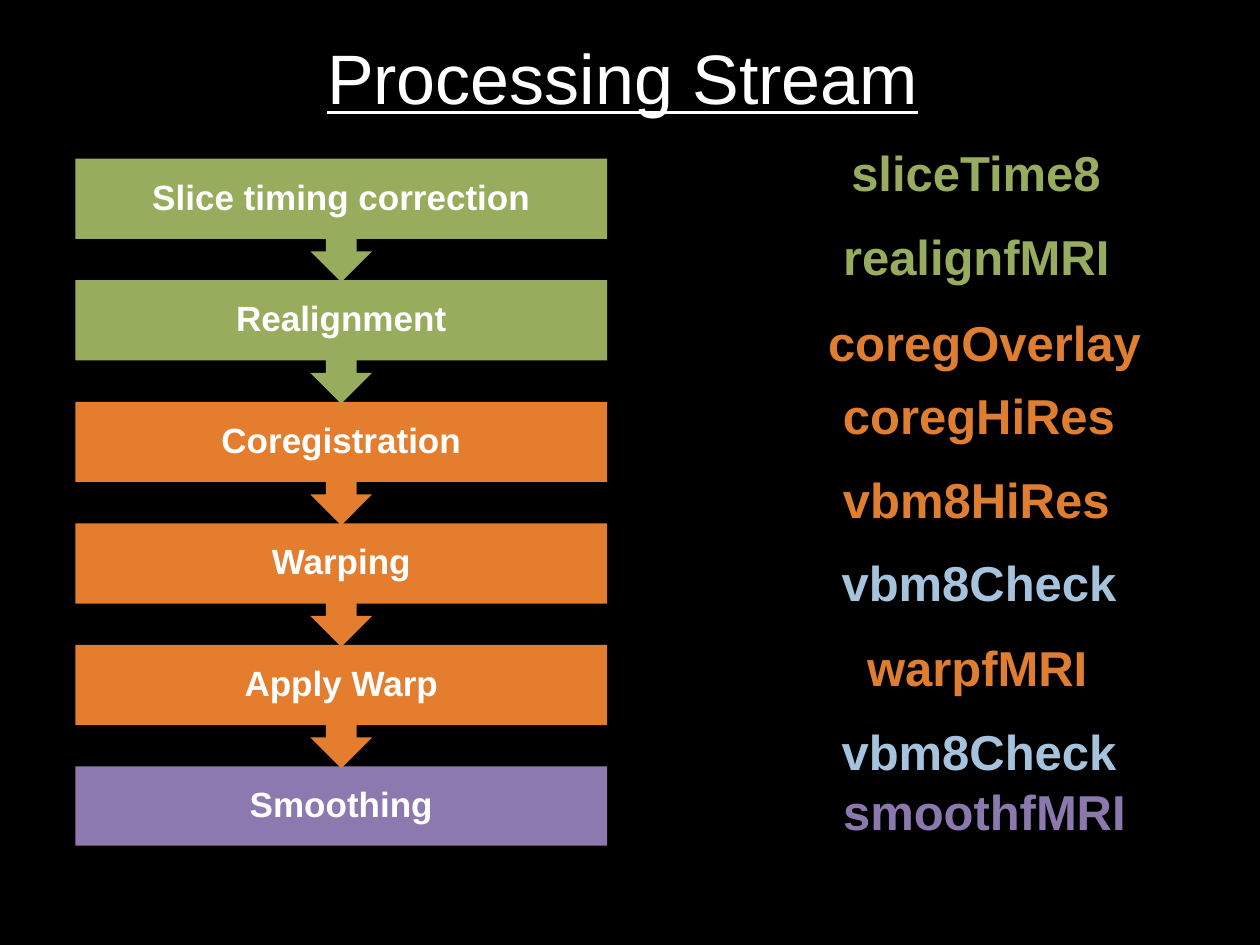
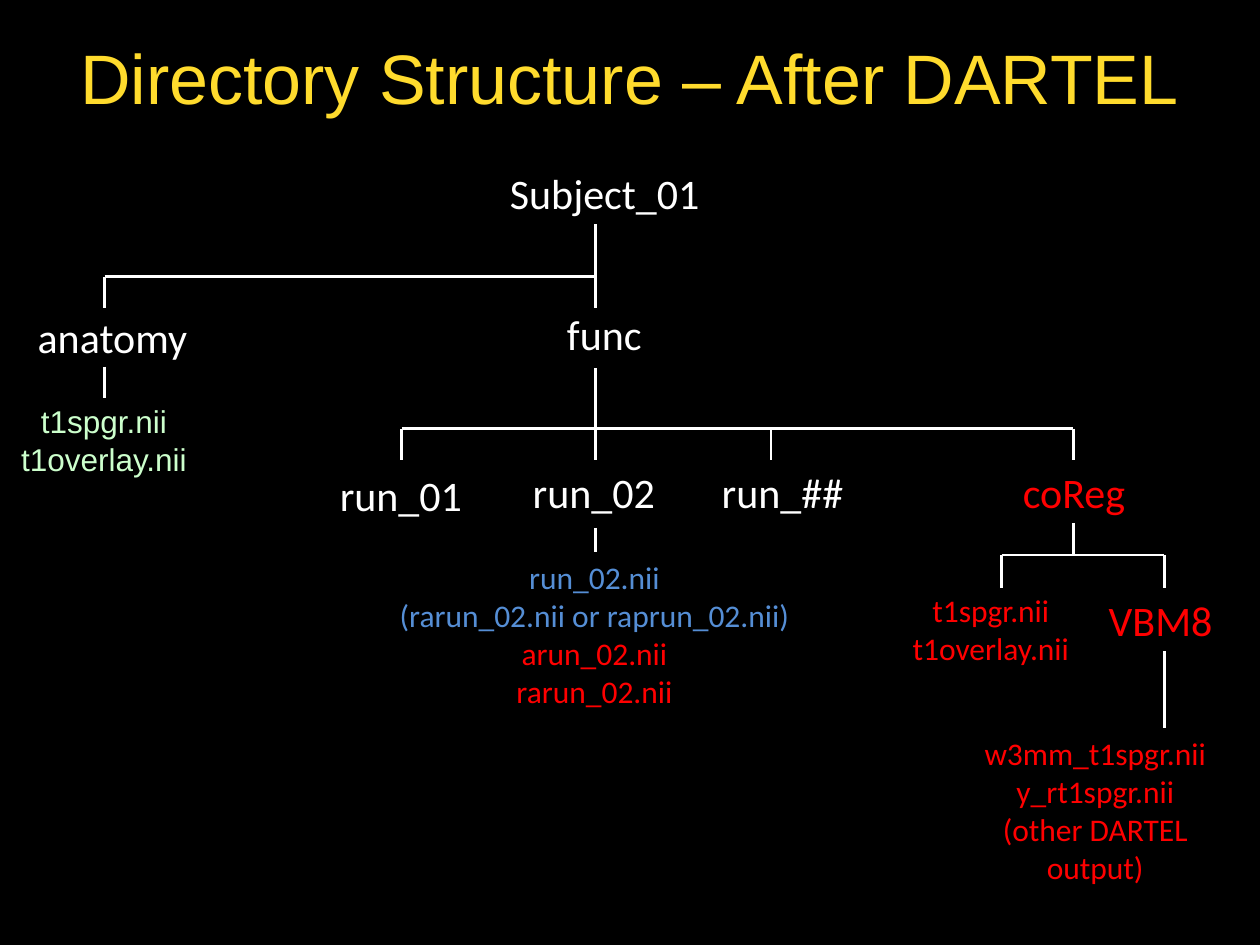
import pptx
import pptx.util
import pptx.dml.color
import pptx.enum.shapes
import pptx.enum.text
import lxml.etree
import pptx.oxml.ns

Cm = pptx.util.Cm
Pt = pptx.util.Pt
SHAPE = pptx.enum.shapes.MSO_SHAPE
ALIGN = pptx.enum.text.PP_ALIGN
ANCHOR = pptx.enum.text.MSO_ANCHOR
AUTO = pptx.enum.text.MSO_AUTO_SIZE

COLORS = {
    "black": "000000", "white": "FFFFFF", "yellow": "FFDB2D",
    "green box": "98AC5D", "orange box": "E47D2D", "purple box": "8B79AF",
    "green": "98AC5F", "orange": "DF7E31", "purple": "8B79AE",
    "pale blue": "A6C3DD", "pale green": "CCFFCC", "blue": "558ED5", "red": "FF0000",
}


def rgb(name):
    return pptx.dml.color.RGBColor.from_string(COLORS[name])


def add_text(s, x, y, w, h, lines, size, font="Arial", align=ALIGN.CENTER,
             bold=False, underline=False, wrap=False, title=False):
    sp = s.shapes.add_textbox(Cm(x), Cm(y), Cm(w), Cm(h))
    tf = sp.text_frame
    tf.word_wrap = wrap
    tf.auto_size = AUTO.NONE if title else AUTO.SHAPE_TO_FIT_TEXT
    tf.vertical_anchor = ANCHOR.MIDDLE if title else ANCHOR.TOP
    tf.text = "\n".join(text for text, color in lines)
    for p, (text, color) in zip(tf.paragraphs, lines):
        p.alignment = align
        r = p.runs[0]
        r.font.name = font
        r.font.size = Pt(size)
        r.font.bold = bold
        r.font.underline = underline
        r.font.color.rgb = rgb(color)


prs = pptx.Presentation()
prs.slide_width, prs.slide_height = Cm(25.4), Cm(19.05)

titles = [
    ("Processing Stream", "white", 6.35, 12.4, True),
    ("Directory Structure – After DARTEL", "yellow", 0.51, 24.36, False),
]
slides = []
for text, color, x, w, underline in titles:
    s = prs.slides.add_slide(prs.slide_layouts[6])
    s.background.fill.solid()
    s.background.fill.fore_color.rgb = rgb("black")
    add_text(s, x, 0.43, w, 2.24, [(text, color)], 40,
             underline=underline, title=True)
    slides.append(s)
stream, tree = slides

steps = [
    ("Slice timing correction", "green box"),
    ("Realignment", "green box"),
    ("Coregistration", "orange box"),
    ("Warping", "orange box"),
    ("Apply Warp", "orange box"),
    ("Smoothing", "purple box"),
]
last = len(steps) - 1
for i, (text, color) in reversed(list(enumerate(steps))):
    kind, h = (SHAPE.RECTANGLE, 1.6) if i == last else (SHAPE.DOWN_ARROW_CALLOUT, 2.49)
    sp = stream.shapes.add_shape(kind, Cm(1.52), Cm(3.2 + 2.45 * i), Cm(10.72), Cm(h))
    sp.shadow.inherit = False
    sp.fill.solid()
    sp.fill.fore_color.rgb = rgb(color)
    sp.line.fill.background()
    tf = sp.text_frame
    tf.margin_left = tf.margin_right = tf.margin_top = tf.margin_bottom = Cm(0.41)
    tf.vertical_anchor = ANCHOR.MIDDLE
    tf.text = text
    p = tf.paragraphs[0]
    p.alignment = ALIGN.CENTER
    p.line_spacing = 0.9
    r = p.runs[0]
    r.font.name = "Arial"
    r.font.size = Pt(20)
    r.font.bold = True
    r.font.color.rgb = rgb("white")

scripts = [
    ("sliceTime8", "green", 16.87, 2.74, 5.61),
    ("realignfMRI", "green", 16.71, 4.45, 5.94),
    ("coregOverlay", "orange", 16.38, 6.17, 6.93),
    ("coregHiRes", "orange", 16.71, 7.65, 6.05),
    ("vbm8HiRes", "orange", 16.71, 9.35, 5.94),
    ("vbm8Check", "pale blue", 16.71, 11.02, 6.05),
    ("warpfMRI", "orange", 17.2, 12.73, 5),
    ("vbm8Check", "pale blue", 16.71, 14.43, 6.05),
    ("smoothfMRI", "purple", 16.71, 15.62, 6.27),
]
for text, color, x, y, w in scripts:
    add_text(stream, x, y, w, 1.45, [(text, color)], 28, bold=True)

branches = [
    (12, 4.52, 5.58, 6.2, [2.11, 12]),
    (12, 7.42, 8.64, 9.27, [8.1, 12, 15.54, 21.64]),
    (21.64, 10.54, 11.19, 11.85, [20.19, 23.47]),
]
segments = [
    (2.11, 7.39, 2.11, 8.03),
    (12, 10.64, 12, 11.13),
    (23.47, 13.13, 23.47, 14.68),
]
for parent, top, bar, bottom, children in branches:
    segments.append((parent, top, parent, bar))
    segments.append((children[0], bar, children[-1], bar))
    segments += [(x, bar, x, bottom) for x in children]
for segment in segments:
    line = tree.shapes.add_connector(pptx.enum.shapes.MSO_CONNECTOR.STRAIGHT,
                                     *[Cm(v) for v in segment])
    line.line.color.rgb = rgb("white")
    line.line.width = Pt(1.5)
    lxml.etree.SubElement(line._element.spPr, pptx.oxml.ns.qn("a:effectLst"))

folders = [
    ("Subject_01", "white", 10.03, 3.25, 4.37),
    ("anatomy", "white", 0.51, 6.15, 3.56),
    ("func", "white", 11.18, 6.1, 2.03),
    ("run_01", "white", 6.6, 9.35, 2.97),
    ("run_02", "white", 10.49, 9.27, 2.97),
    ("run_##", "white", 14.3, 9.27, 2.97),
    ("coReg", "red", 20.37, 9.27, 2.79),
    ("VBM8", "red", 22.1, 11.86, 2.79),
]
for text, color, x, y, w in folders:
    add_text(tree, x, y, w, 1.27, [(text, color)], 24, "Calibri", ALIGN.LEFT)

t1_files = ["t1spgr.nii", "t1overlay.nii"]
add_text(tree, 0.15, 7.98, 3.89, 1.8, [(f, "pale green") for f in t1_files], 18)
add_text(tree, 18.11, 11.79, 3.73, 1.78, [(f, "red") for f in t1_files], 18, "Calibri")
add_text(tree, 7.77, 11.13, 8.43, 3.33, [
    ("run_02.nii", "blue"),
    ("(rarun_02.nii or raprun_02.nii)", "blue"),
    ("arun_02.nii", "red"),
    ("rarun_02.nii", "red"),
], 18, "Calibri")
add_text(tree, 18.98, 14.68, 6.2, 3.3, [
    ("w3mm_t1spgr.nii", "red"),
    ("y_rt1spgr.nii", "red"),
    ("(other DARTEL output)", "red"),
], 18, "Calibri", wrap=True)

prs.save("out.pptx")
